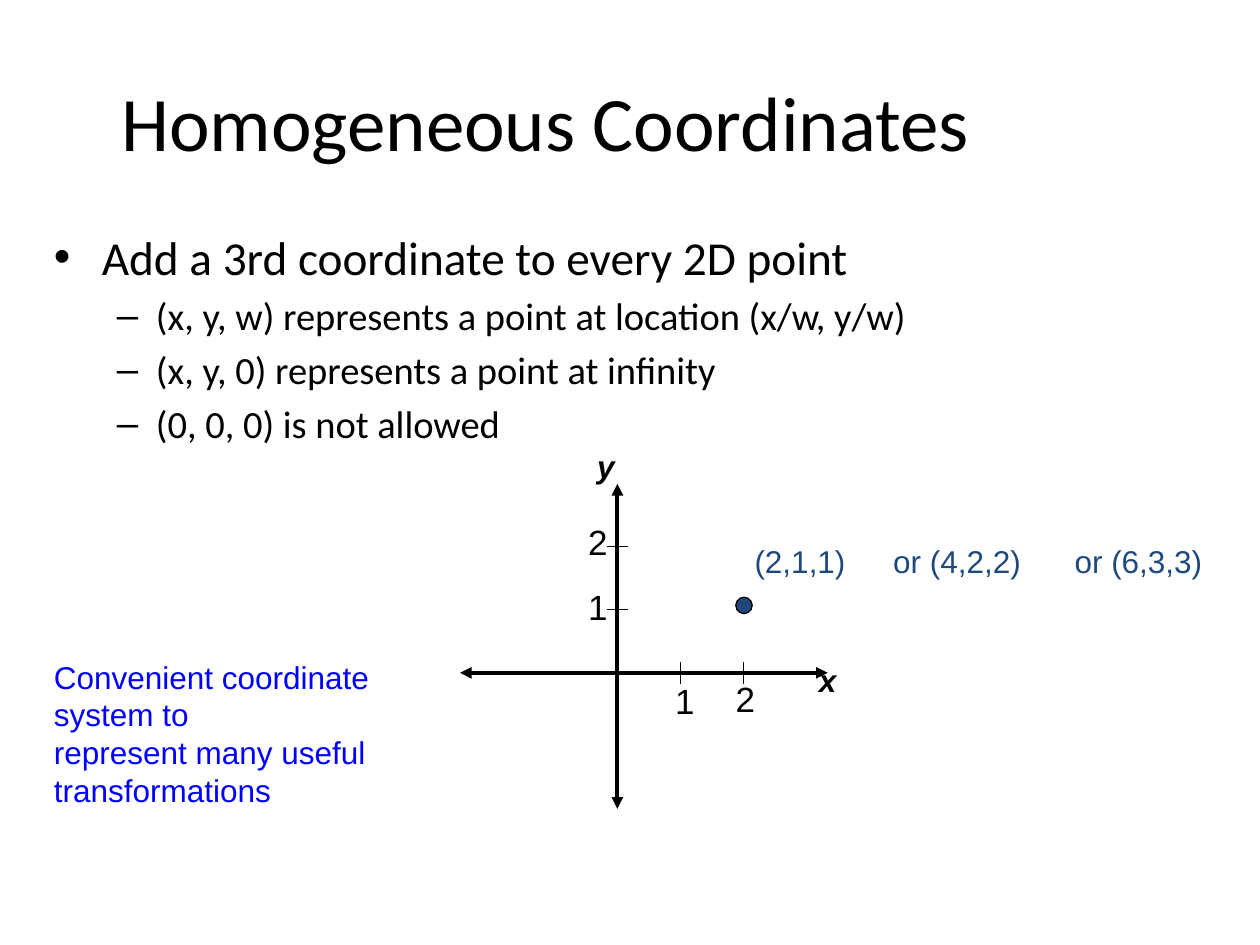
from typing import NamedTuple

from lxml.etree import SubElement
from pptx import Presentation
from pptx.dml.color import RGBColor
from pptx.enum.shapes import MSO_CONNECTOR, MSO_SHAPE
from pptx.enum.text import MSO_ANCHOR, MSO_AUTO_SIZE, PP_ALIGN
from pptx.oxml.ns import qn
from pptx.util import Inches, Pt

BLACK = RGBColor(0x00, 0x00, 0x00)
BLUE = RGBColor(0x00, 0x00, 0xFF)
NAVY = RGBColor(0x1F, 0x49, 0x7D)
ORIGIN_X, ORIGIN_Y, UNIT = 4.9, 5.34, 0.5
TICK = 0.17


class Label(NamedTuple):
    text: str
    u: float
    v: float
    width: float
    size: int = 18
    color: RGBColor = BLACK
    strong: bool = False


class Level(NamedTuple):
    size: int
    indent: float
    hang: float
    mark: str


class Segment(NamedTuple):
    start: tuple[float, float]
    end: tuple[float, float]
    width: float = 0.75
    arrows: bool = False


LEVELS = (Level(27, 0.38, 0.38, "•"), Level(22, 0.81, 0.31, "–"))
BULLETS = (
    (0, "Add a 3rd coordinate to every 2D point"),
    (1, "(x, y, w) represents a point at location (x/w, y/w)"),
    (1, "(x, y, 0) represents a point at infinity"),
    (1, "(0, 0, 0) is not allowed"),
)
AXES = (
    Segment((0, 3), (0, -2.16), 2.25, True),
    Segment((-2.5, 0), (3.34, 0), 2.25, True),
)
LABELS = (
    Label("1", 1.08, -0.44, 0.36, 20),
    Label("2", 2.04, -0.42, 0.36, 20),
    Label("1", -0.3, 1.04, 0.36, 20),
    Label("2", -0.3, 2.08, 0.36, 20),
    Label("(2,1,1)", 2.91, 1.78, 0.93, color=NAVY),
    Label("or (4,2,2)", 5.41, 1.78, 1.23, color=NAVY),
    Label("or (6,3,3)", 8.29, 1.78, 1.23, color=NAVY),
    Label("x", 3.34, -0.12, 0.34, strong=True),
    Label("y", -0.18, 3.28, 0.34, strong=True),
)


def plot(u: float, v: float) -> tuple[float, float]:
    """Turn plot coordinates into slide inches."""
    return ORIGIN_X + u * UNIT, ORIGIN_Y - v * UNIT


def add_run(p, text: str, size: int, font: str, color: RGBColor):
    """Add one formatted run to a paragraph."""
    r = p.add_run()
    r.text = text
    r.font.size = Pt(size)
    r.font.name = font
    r.font.color.rgb = color
    return r


def add_box(slide, x: float, y: float, w: float, h: float, wrap: bool = True):
    """Add a text box and return its text frame."""
    tf = slide.shapes.add_textbox(*map(Inches, (x, y, w, h))).text_frame
    tf.word_wrap = wrap
    return tf


def add_title(slide, text: str) -> None:
    """Place and format the title placeholder."""
    sp = slide.shapes.title
    sp.left, sp.top, sp.width, sp.height = map(Inches, (0.29, 0.33, 8.08, 1.25))
    tf = sp.text_frame
    tf.vertical_anchor = MSO_ANCHOR.MIDDLE
    p = tf.paragraphs[0]
    p.alignment = PP_ALIGN.CENTER
    add_run(p, text, 44, "Calibri", BLACK)


def add_bullets(slide) -> None:
    """Add the two-level bullet list."""
    tf = add_box(slide, 0.33, 1.76, 9.37, 2.15)
    for i, (depth, text) in enumerate(BULLETS):
        level = LEVELS[depth]
        p = tf.add_paragraph() if i else tf.paragraphs[0]
        p.level = depth
        if i:
            p.space_before = Pt(0.2 * level.size)
        pPr = p._p.get_or_add_pPr()
        pPr.set("marL", str(Inches(level.indent)))
        pPr.set("indent", str(-Inches(level.hang)))
        SubElement(pPr, qn("a:buFont")).set("typeface", "Arial")
        SubElement(pPr, qn("a:buChar")).set("char", level.mark)
        add_run(p, text, level.size, "Calibri", BLACK)


def add_note(slide) -> None:
    """Add the blue remark beside the plot."""
    tf = add_box(slide, 0.33, 5.17, 3.34, 1.31)
    p = tf.paragraphs[0]
    add_run(p, "Convenient coordinate system to ", 18, "Arial", BLUE)
    p.add_line_break()
    add_run(p, "represent many useful transformations", 18, "Arial", BLUE)


def add_segment(slide, seg: Segment) -> None:
    """Draw an axis or a tick mark."""
    ends = map(Inches, plot(*seg.start) + plot(*seg.end))
    sp = slide.shapes.add_connector(MSO_CONNECTOR.STRAIGHT, *ends)
    sp.line.color.rgb = BLACK
    sp.line.width = Pt(seg.width)
    if seg.arrows:
        ln = sp.line._get_or_add_ln()
        for tag in ("a:headEnd", "a:tailEnd"):
            SubElement(ln, qn(tag)).set("type", "triangle")
    SubElement(sp._element.spPr, qn("a:effectLst"))


def add_point(slide, u: float, v: float, size: float) -> None:
    """Draw the plotted point."""
    x, y = plot(u, v)
    box = map(Inches, (x - size / 2, y - size / 2, size, size))
    sp = slide.shapes.add_shape(MSO_SHAPE.OVAL, *box)
    sp.shadow.inherit = False
    sp.fill.solid()
    sp.fill.fore_color.rgb = NAVY
    sp.line.color.rgb = BLACK
    sp.line.width = Pt(0.75)


def add_label(slide, label: Label) -> None:
    """Write a label centred on its plot coordinates."""
    x, y = plot(label.u, label.v)
    h = 0.44 if label.size == 20 else 0.4
    tf = add_box(slide, x - label.width / 2, y - h / 2, label.width, h, False)
    tf.auto_size = MSO_AUTO_SIZE.SHAPE_TO_FIT_TEXT
    r = add_run(tf.paragraphs[0], label.text, label.size, "Arial", label.color)
    if label.strong:
        r.font.bold = r.font.italic = True


def main() -> None:
    """Build and save the slide."""
    prs = Presentation()
    prs.slide_width, prs.slide_height = Inches(10), Inches(7.5)
    slide = prs.slides.add_slide(prs.slide_layouts[5])
    add_title(slide, "Homogeneous Coordinates")
    add_bullets(slide)
    add_note(slide)
    for axis in AXES:
        add_segment(slide, axis)
    add_point(slide, 2.01, 1.07, 0.13)
    for n in (1, 2):
        add_segment(slide, Segment((n, TICK), (n, -TICK)))
        add_segment(slide, Segment((-TICK, n), (TICK, n)))
    for label in LABELS:
        add_label(slide, label)
    prs.save("out.pptx")


if __name__ == "__main__":
    main()
